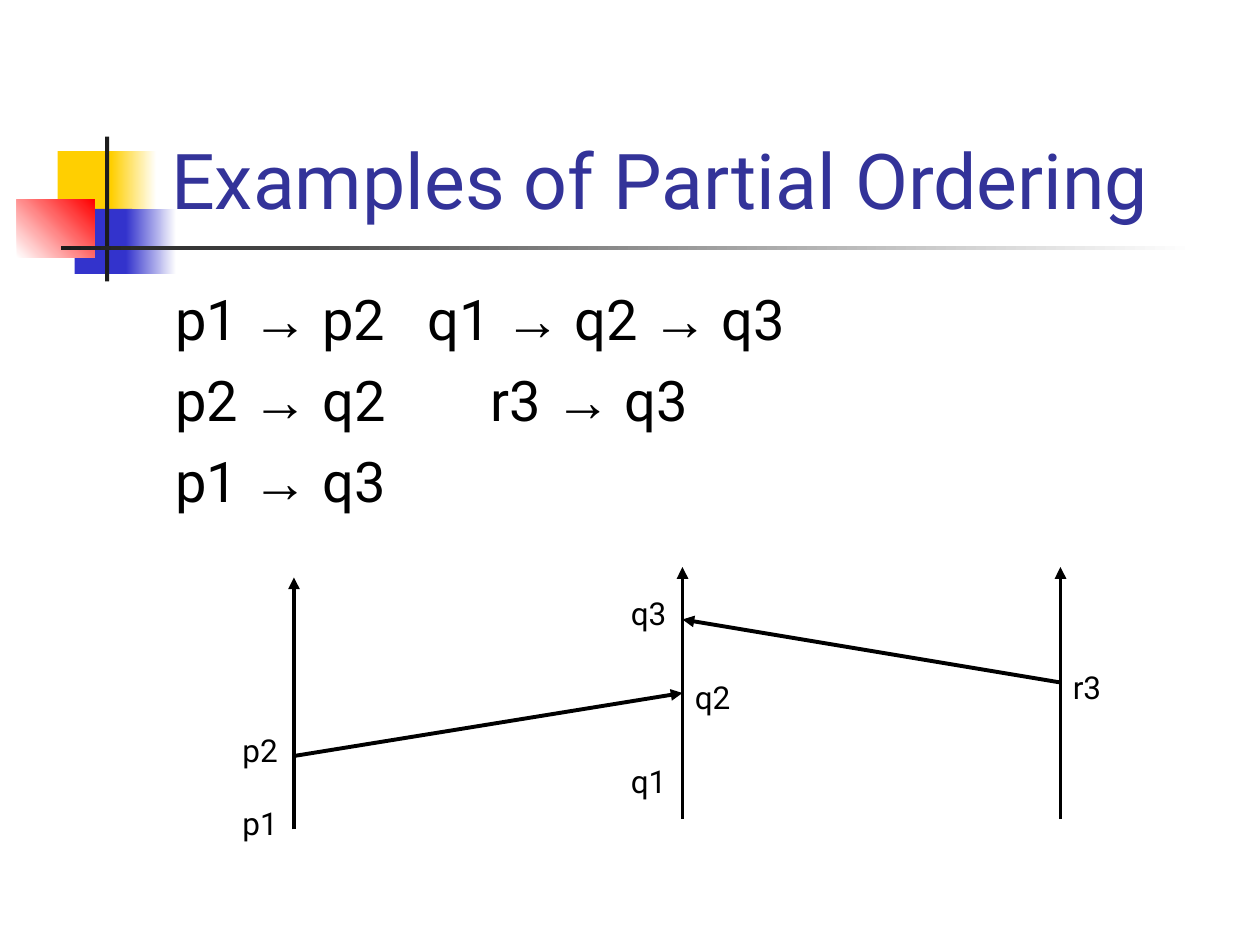
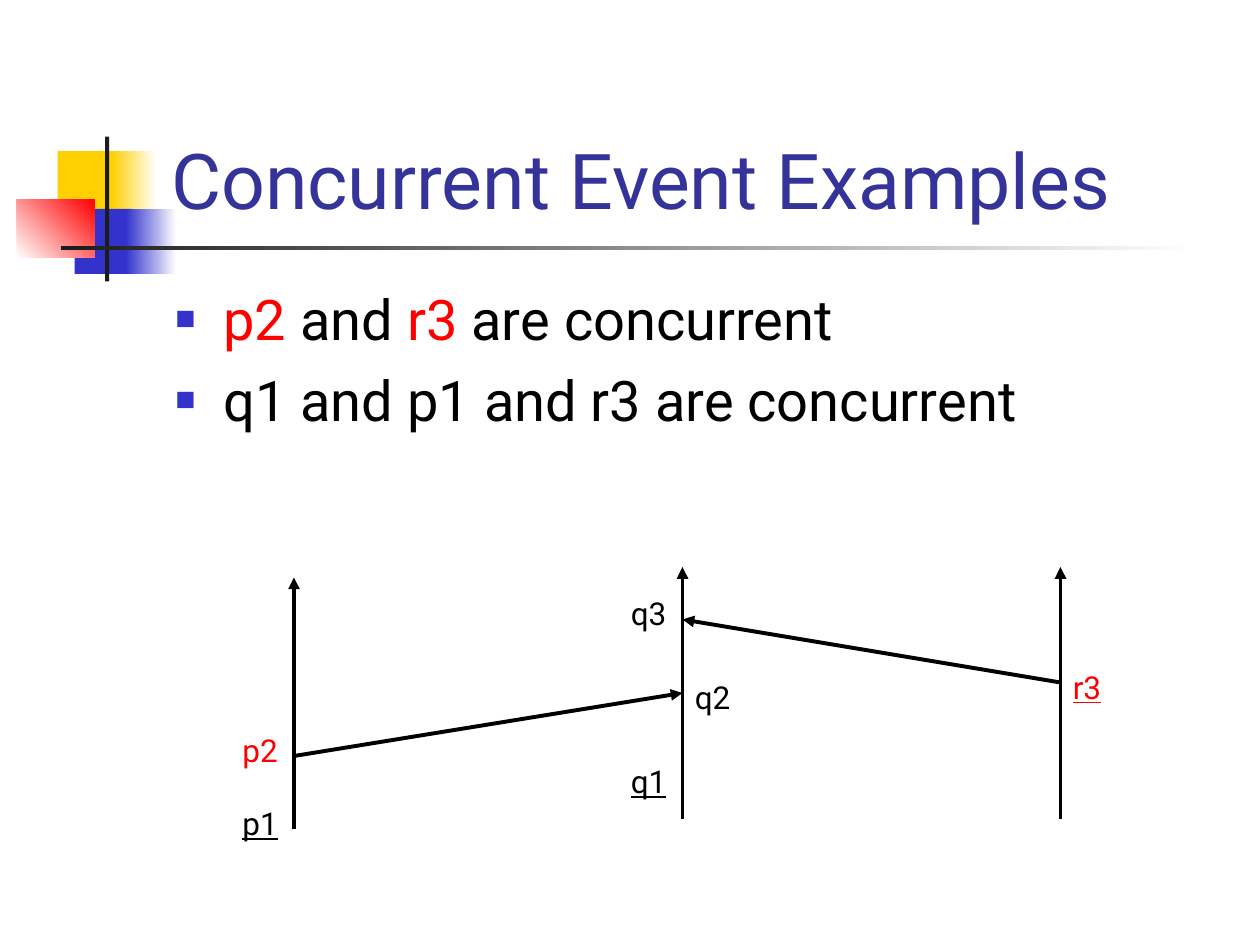
"""Build two slides on partial ordering and concurrent events."""
from lxml.etree import SubElement
from pptx import Presentation
from pptx.dml.color import RGBColor
from pptx.enum.shapes import MSO_CONNECTOR as Connector, MSO_SHAPE as Shape
from pptx.enum.text import MSO_ANCHOR as Anchor, MSO_AUTO_SIZE as AutoSize, PP_ALIGN as Align
from pptx.oxml.ns import qn
from pptx.util import Inches, Pt

WHITE = RGBColor(0xFF, 0xFF, 0xFF)
BLACK = RGBColor(0x00, 0x00, 0x00)
RED = RGBColor(0xFF, 0x00, 0x00)
YELLOW = RGBColor(0xFF, 0xCF, 0x01)
BLUE = RGBColor(0x33, 0x33, 0xCC)
INDIGO = RGBColor(0x33, 0x33, 0x99)
CHARCOAL = RGBColor(0x1C, 0x1C, 0x1C)

WIDTH, HEIGHT = Inches(10), Inches(7.5)
COLUMNS = 120
CELL = WIDTH / COLUMNS
TEXT_FONT, ARROW_FONT = "Roboto", "Arial"

BAND = [
    ((5.5, 14.4, 5.8, 6.2), (YELLOW,), 0),
    ((10.6, 14.4, 4.3, 6.2), (YELLOW, WHITE), 0),
    ((7.1, 19.9, 5.5, 6.2), (BLUE,), 0),
    ((12, 19.9, 4.8, 6.2), (BLUE, WHITE), 0),
    ((1.6, 19, 7.4, 5.5), (WHITE, RED), 45),
    ((10, 13, 0.4, 13.8), (CHARCOAL,), 0),
    ((5.8, 23.4, 108, 0.4), (CHARCOAL, WHITE), 0),
]
P_AXIS, Q_AXIS, R_AXIS = 28, 65, 101
ARROWS = [
    (P_AXIS, 79, P_AXIS, 55),
    (R_AXIS, 78, R_AXIS, 54),
    (Q_AXIS, 78, Q_AXIS, 54),
    (P_AXIS, 72, Q_AXIS, 66),
    (R_AXIS, 65, Q_AXIS, 59),
]
LEFT_OF_AXIS = -6.1
EVENTS = {
    "p1": (P_AXIS + LEFT_OF_AXIS, 76, 5.9, 4.8),
    "p2": (P_AXIS + LEFT_OF_AXIS, 69, 5.9, 4.8),
    "q1": (Q_AXIS + LEFT_OF_AXIS, 72, 5.9, 4.8),
    "q2": (Q_AXIS, 64, 5.9, 4.8),
    "q3": (Q_AXIS + LEFT_OF_AXIS, 56, 5.9, 4.8),
    "r3": (R_AXIS, 63, 5.3, 4.8),
}
ORDERINGS = [
    "p1 *→* p2\tq1 *→* q2 *→* q3",
    "p2 *→* q2\t\tr3 *→* q3",
    "p1 *→* q3",
]
CONCURRENCIES = ["*p2* and *r3* are concurrent", "q1 and p1 and r3 are concurrent"]
ORDERING_TABS = (33.8, 77.8)


def cells(*counts):
    """Turn counts of grid cells into lengths."""
    return [round(count * CELL) for count in counts]


class Deck:
    """The deck's style and its current slide."""

    def __init__(self):
        self.deck = Presentation()
        self.deck.slide_width, self.deck.slide_height = WIDTH, HEIGHT
        self.slide = None

    def start(self, heading):
        """Add a slide with the decorated title band."""
        self.slide = self.deck.slides.add_slide(self.deck.slide_layouts[1])
        for depth, (place, colours, angle) in enumerate(BAND, start=2):
            self.block(place, colours, angle, depth)
        frame = self.fit(self.slide.shapes.title, (15.1, 2.8, 102.2, 19.2))
        frame.vertical_anchor = Anchor.BOTTOM
        frame.text = heading
        frame.paragraphs[0].alignment = Align.LEFT
        self.style(frame.paragraphs[0], 44, INDIGO)

    def fit(self, holder, place):
        """Move a placeholder and return its text frame."""
        holder.left, holder.top, holder.width, holder.height = cells(*place)
        holder.text_frame.word_wrap = True
        holder.text_frame.auto_size = AutoSize.NONE
        return holder.text_frame

    def style(self, paragraph, size, colour, underline=None):
        """Set the font of a whole paragraph."""
        font = paragraph.font
        font.name, font.size, font.underline = TEXT_FONT, Pt(size), underline
        font.color.rgb = colour

    def block(self, place, colours, angle, depth):
        """Draw a plain or shaded rectangle behind the text."""
        block = self.slide.shapes.add_shape(Shape.RECTANGLE, *cells(*place))
        block.shadow.inherit = False
        block.line.fill.background()
        if len(colours) == 1:
            block.fill.solid()
            block.fill.fore_color.rgb = colours[0]
        else:
            block.fill.gradient()
            block.fill.gradient_angle = angle
            for stop, colour in zip(block.fill.gradient_stops, colours):
                stop.color.rgb = colour
        self.slide.shapes.element.insert(depth, block.element)

    def statements(self, lines, bulleted, tabs=()):
        """Fill the body; starred parts are arrows or red words."""
        frame = self.fit(self.slide.placeholders[1], (15.5, 26.5, 102, 54))
        for index, line in enumerate(lines):
            paragraph = frame.paragraphs[0] if index == 0 else frame.add_paragraph()
            paragraph.space_before = Pt(8 if index else 0)
            self.indent(paragraph, bulleted, tabs)
            self.style(paragraph, 32, BLACK)
            for part, words in enumerate(line.split("*")):
                if not words:
                    continue
                run = paragraph.add_run()
                run.text = words
                if words == "→":
                    run.font.name = ARROW_FONT
                elif part % 2:
                    run.font.color.rgb = RED

    def indent(self, paragraph, bulleted, tabs):
        """Give a paragraph its bullet, indent and tab stops."""
        props = paragraph._p.get_or_add_pPr()
        hang = Inches(0.38) if bulleted else 0
        props.set("marL", str(hang))
        props.set("indent", str(-hang))
        if bulleted:
            SubElement(SubElement(props, qn("a:buClr")), qn("a:srgbClr"), val=str(BLUE))
            SubElement(props, qn("a:buSzPct"), val="60000")
            SubElement(props, qn("a:buFont"), typeface=ARROW_FONT)
            SubElement(props, qn("a:buChar"), char="■")
        else:
            SubElement(props, qn("a:buNone"))
        if tabs:
            stops = SubElement(props, qn("a:tabLst"))
            for position in cells(*tabs):
                SubElement(stops, qn("a:tab"), pos=str(position), algn="l")

    def arrow(self, shapes, ends):
        """Draw an arrow between two grid points."""
        arrow = shapes.add_connector(Connector.STRAIGHT, *cells(*ends))
        arrow.line.width = Pt(2.25)
        arrow.line.color.rgb = BLACK
        SubElement(arrow.line._get_or_add_ln(), qn("a:tailEnd"), type="triangle")
        SubElement(arrow.element.spPr, qn("a:effectLst"))

    def event(self, shapes, name, place, colour, underline):
        """Label an event beside its process axis."""
        frame = shapes.add_textbox(*cells(*place)).text_frame
        frame.word_wrap = False
        frame.auto_size = AutoSize.SHAPE_TO_FIT_TEXT
        frame.text = name
        self.style(frame.paragraphs[0], 18, colour, underline)

    def timeline(self, red=(), underlined=()):
        """Draw the three process axes, their messages and events."""
        shapes = self.slide.shapes.add_group_shape().shapes
        for ends in ARROWS:
            self.arrow(shapes, ends)
        for name, place in EVENTS.items():
            colour = RED if name in red else BLACK
            self.event(shapes, name, place, colour, name in underlined or None)


def main():
    """Build and save the deck."""
    deck = Deck()
    deck.start("Examples of Partial Ordering")
    deck.statements(ORDERINGS, bulleted=False, tabs=ORDERING_TABS)
    deck.timeline()
    deck.start("Concurrent Event Examples")
    deck.statements(CONCURRENCIES, bulleted=True)
    deck.timeline(red=("p2", "r3"), underlined=("p1", "q1", "r3"))
    deck.deck.save("out.pptx")


if __name__ == "__main__":
    main()
